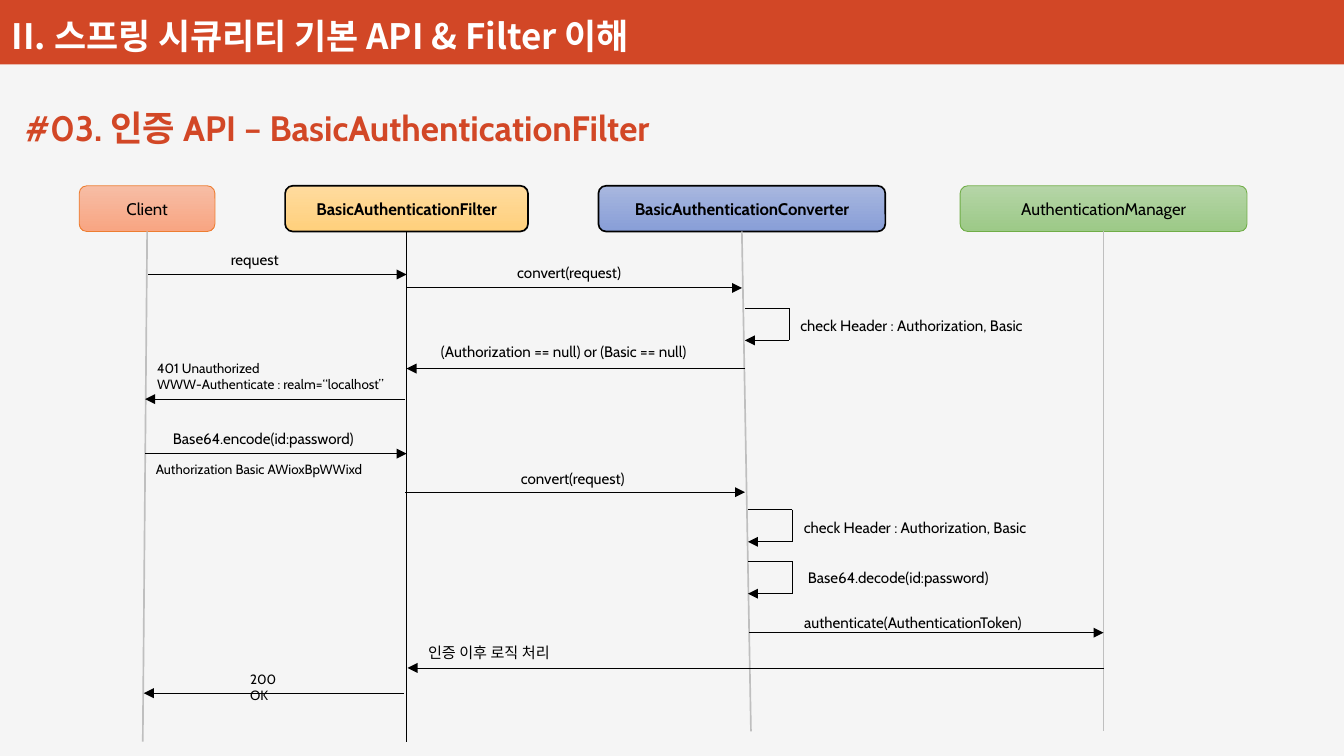
from lxml import etree
from pptx import Presentation
from pptx.dml.color import RGBColor
from pptx.enum.shapes import MSO_CONNECTOR, MSO_SHAPE
from pptx.enum.text import MSO_ANCHOR, MSO_AUTO_SIZE, PP_ALIGN
from pptx.oxml.ns import qn
from pptx.util import Pt

STRAIGHT = MSO_CONNECTOR.STRAIGHT
RECTANGLE = MSO_SHAPE.RECTANGLE
ROUNDED = MSO_SHAPE.ROUNDED_RECTANGLE
MIDDLE, BOTTOM = MSO_ANCHOR.MIDDLE, MSO_ANCHOR.BOTTOM
NO_FIT, GROW = MSO_AUTO_SIZE.NONE, MSO_AUTO_SIZE.SHAPE_TO_FIT_TEXT
LEFT, CENTER = PP_ALIGN.LEFT, PP_ALIGN.CENTER
BOTTOM_SITE = 2

BLACK = RGBColor(0x00, 0x00, 0x00)
WHITE = RGBColor(0xFF, 0xFF, 0xFF)
PAPER = RGBColor(0xF5, 0xF5, 0xF5)
RED = RGBColor(0xD2, 0x47, 0x26)
GRAY = RGBColor(0xBF, 0xBF, 0xBF)
ORANGE = RGBColor(0xED, 0x7D, 0x31)
GREEN = RGBColor(0x70, 0xAD, 0x47)
ORANGE_FADE = (RGBColor(0xF7, 0xBD, 0xA5), RGBColor(0xF8, 0xA5, 0x82))
YELLOW_FADE = (RGBColor(0xFF, 0xDB, 0x9E), RGBColor(0xFF, 0xD0, 0x7C))
BLUE_FADE = (RGBColor(0xA8, 0xB7, 0xDF), RGBColor(0x88, 0x9E, 0xD7))
GREEN_FADE = (RGBColor(0xB5, 0xD5, 0xA7), RGBColor(0x9C, 0xC9, 0x87))

LATIN_FONT = "Cabin"
KOREAN_FONT = "Noto Sans CJK KR"


class SequenceSlide:
    def __init__(self, presentation):
        self.slide = presentation.slides.add_slide(presentation.slide_layouts[5])
        self.shapes = self.slide.shapes
        background = self.slide.background.fill
        background.solid()
        background.fore_color.rgb = PAPER

    def add_text(self, paragraph, text, size, color=BLACK, bold=False, font=LATIN_FONT):
        for number, line in enumerate(text.split("\n")):
            if number:
                paragraph.add_line_break()
            run = paragraph.add_run()
            run.text = line
            run.font.name = font
            run.font.size = Pt(size)
            run.font.bold = bold
            run.font.color.rgb = color
            east_asian = etree.SubElement(run.font._element, qn("a:ea"))
            east_asian.set("typeface", KOREAN_FONT)

    def place(self, shape, left, top, width, height):
        shape.left, shape.top = Pt(left), Pt(top)
        shape.width, shape.height = Pt(width), Pt(height)

    def title(self, text):
        band = self.shapes.add_shape(RECTANGLE, 0, 0, Pt(800), Pt(38.4))
        band.shadow.inherit = False
        band.fill.solid()
        band.fill.fore_color.rgb = RED
        band.line.fill.background()
        title = self.shapes.title
        band._element.addnext(title._element)
        self.place(title, 0.5, -7, 444, 43.8)
        frame = title.text_frame
        frame.auto_size = NO_FIT
        frame.vertical_anchor = BOTTOM
        frame.margin_left = frame.margin_right = Pt(6.5)
        frame.margin_top = frame.margin_bottom = Pt(3)
        frame.paragraphs[0].alignment = LEFT
        self.add_text(frame.paragraphs[0], text, 20.8, WHITE, True, KOREAN_FONT)

    def label(self, text, left, top, width, height=18, size=9, color=BLACK,
              bold=False, wrap=False):
        box = self.shapes.add_textbox(Pt(left), Pt(top), Pt(width), Pt(height))
        frame = box.text_frame
        frame.word_wrap = wrap
        frame.auto_size = GROW
        self.add_text(frame.paragraphs[0], text, size, color, bold)

    def participant(self, text, left, width, fade, outline, weight, bold):
        shape = self.shapes.add_shape(ROUNDED, Pt(left), Pt(110.6), Pt(width), Pt(27.2))
        shape.shadow.inherit = False
        shape.fill.gradient()
        shape.fill.gradient_angle = 270
        for stop, color in zip(shape.fill.gradient_stops, fade):
            stop.color.rgb = color
        shape.line.color.rgb = outline
        shape.line.width = Pt(weight)
        frame = shape.text_frame
        frame.vertical_anchor = MIDDLE
        frame.paragraphs[0].alignment = CENTER
        self.add_text(frame.paragraphs[0], text, 10, bold=bold)
        return shape

    def line(self, start, end, color=BLACK, weight=0.5, arrow=False):
        points = [Pt(value) for value in (*start, *end)]
        connector = self.shapes.add_connector(STRAIGHT, *points)
        connector.line.color.rgb = color
        connector.line.width = Pt(weight)
        properties = connector._element.spPr
        if arrow:
            tail = etree.SubElement(properties.find(qn("a:ln")), qn("a:tailEnd"))
            tail.set("type", "triangle")
        etree.SubElement(properties, qn("a:effectLst"))
        return connector

    def lifeline(self, participant, end, color):
        center = (participant.left + participant.width / 2) / Pt(1)
        connector = self.line((center, 137.8), end, color, 1)
        connector.begin_connect(participant, BOTTOM_SITE)

    def message(self, start, end, height):
        self.line((start, height), (end, height), arrow=True)

    def self_call(self, left, top):
        right, bottom = left + 26.4, top + 19.2
        self.line((right, top), (left, top))
        self.line((right, top), (right, bottom))
        self.message(right, left, bottom)


def main():
    presentation = Presentation()
    presentation.slide_width, presentation.slide_height = Pt(800), Pt(450)
    sequence = SequenceSlide(presentation)
    sequence.title("II. 스프링 시큐리티 기본 API & Filter 이해")
    sequence.label("#03. 인증 API – BasicAuthenticationFilter",
                   7.9, 59.8, 424.8, 32.4, 21, RED, True)

    participants = [
        ("Client", 47.2, 80.8, ORANGE_FADE, ORANGE, 0.5, False, (85, 441.4), GRAY),
        ("BasicAuthenticationFilter", 169.7, 144.6, YELLOW_FADE, BLACK, 1, True,
         (242, 441.4), BLACK),
        ("BasicAuthenticationConverter", 356.2, 170.8, BLUE_FADE, BLACK, 1, True,
         (447, 435.4), GRAY),
        ("AuthenticationManager", 571.5, 170.8, GREEN_FADE, GREEN, 0.5, False,
         (656.9, 435.4), GRAY),
    ]
    for *style, end, color in participants:
        sequence.lifeline(sequence.participant(*style), end, color)

    messages = [
        (88.2, 242, 163.4), (242.5, 441.7, 171.4), (443.5, 242, 219.4),
        (241.2, 86.4, 237.6), (86.4, 242, 270), (241.2, 443.5, 293),
        (445.7, 656.9, 376.6), (656.9, 242.6, 397.6), (240.6, 85.6, 412.6),
    ]
    for start, end, height in messages:
        sequence.message(start, end, height)

    for left, top in [(443.4, 183.4), (445.2, 303.3), (445.2, 334.2)]:
        sequence.self_call(left, top)

    labels = [
        ("request", 130.3, 145.6, 44.6),
        ("convert(request)", 300.8, 153.4, 80),
        ("check Header : Authorization, Basic", 469.3, 185, 154.8),
        ("(Authorization == null) or (Basic == null)", 255.4, 200, 177.8),
        ("Base64.encode(id:password)", 95.9, 252.2, 127.4),
        ("convert(request)", 303, 275.6, 80),
        ("check Header : Authorization, Basic", 471.4, 304.9, 154.8),
        ("authenticate(AuthenticationToken)", 471.6, 361.4, 153.4),
        ("인증 이후 로직 처리", 247.7, 379.4, 97.2),
    ]
    for text, left, top, width in labels:
        sequence.label(text, left, top, width)
    sequence.label("Base64.decode(id:password)", 473.8, 334.8, 126.7, wrap=True)
    sequence.label("401 Unauthorized\nWWW-Authenticate : realm=“localhost”",
                   86.4, 211, 156.2, 26.6, 8)
    sequence.label("Authorization Basic AWioxBpWWixd", 85.7, 270.9, 144, 17, 8)
    sequence.label("200 OK", 141.8, 396, 41, 17, 8, wrap=True)
    presentation.save("out.pptx")


if __name__ == "__main__":
    main()
